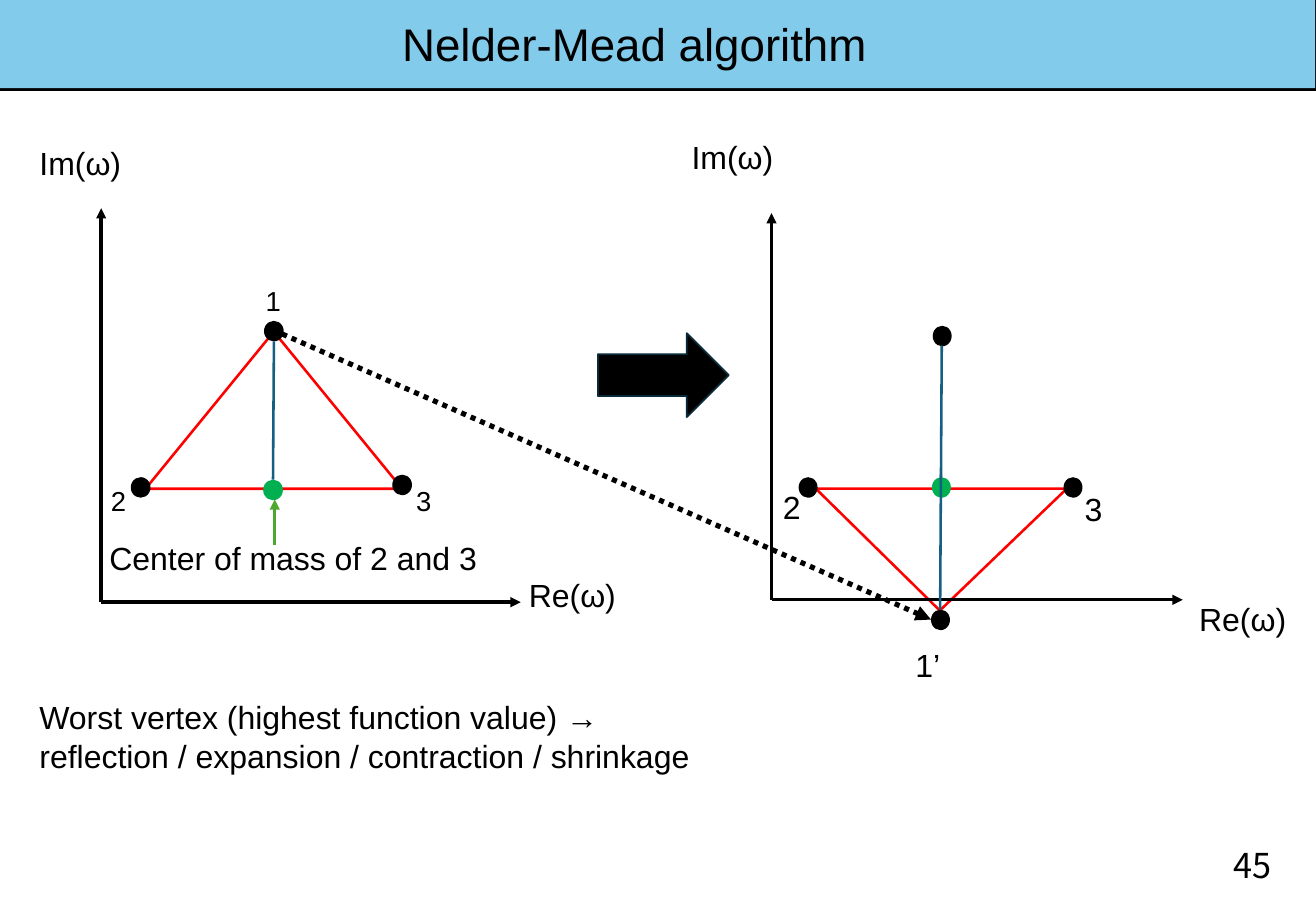
"""Build a slide on the reflection step of the Nelder-Mead algorithm."""
from dataclasses import dataclass

import pptx
import pptx.dml.color
import pptx.enum.shapes
import pptx.enum.text
import pptx.util
from lxml import etree
from pptx.oxml.ns import qn

Pt = pptx.util.Pt
Shape = pptx.enum.shapes.MSO_SHAPE
Point = tuple[float, float]
Box = tuple[float, float, float, float]

BLACK, RED, GREEN, TEAL, LEAF = "000000", "FF0000", "00B050", "156082", "4EA72E"


@dataclass
class Label:
    """A text with its box and size."""
    text: str
    box: Box
    size: float = 28


@dataclass
class Dot:
    """A simplex point given by its top left corner."""
    left: float
    top: float
    color: str = BLACK


@dataclass
class Plane:
    """A complex plane with one simplex."""
    origin: Point
    axis_top: float
    axis_right: float
    triangle: Box
    apex: float
    rotation: float
    dot_width: float
    dots: list[Dot]
    labels: list[Label]
    medians: list[tuple[Point, Point]]


PLANES = [
    Plane(
        origin=(88.6, 527), axis_top=182.2, axis_right=455.8,
        triangle=(127.4, 290.2, 224.6, 137.5), apex=0.5, rotation=0, dot_width=17.3,
        dots=[Dot(231.1, 280.8), Dot(343.4, 415.4), Dot(114.5, 417.6), Dot(230.4, 419.8, GREEN)],
        labels=[
            Label("Im(ω)", (27.4, 122.4, 95, 41)),
            Label("Re(ω)", (455.8, 500.4, 150.5, 62.6)),
            Label("1", (225.4, 244.8, 29.5, 36), 24),
            Label("2", (90, 420.5, 32.4, 36), 24),
            Label("3", (357.1, 420.5, 106.6, 55.4), 24),
        ],
        medians=[((239.8, 298.8), (239, 419.8))],
    ),
    Plane(
        origin=(675.4, 524.9), axis_top=186.5, axis_right=1035.4,
        triangle=(714.2, 427.7, 219.6, 106.6), apex=0.506, rotation=180, dot_width=16.6,
        dots=[Dot(815, 533.5), Dot(931, 417.6), Dot(699.1, 417.6),
              Dot(815.8, 417.6, GREEN), Dot(816.5, 285.1)],
        labels=[
            Label("Im(ω)", (598.3, 116.6, 142.6, 61.9)),
            Label("Re(ω)", (1042.6, 521.3, 98.6, 41)),
            Label("1’", (794.2, 561.6, 65.5, 61.9)),
            Label("2", (678.2, 423.4, 32.4, 41)),
            Label("3", (942.5, 424.8, 33.8, 41)),
        ],
        medians=[((824.4, 302.4), (823.7, 420.5)), ((823.7, 415.4), (823, 533.5))],
    ),
]


def rgb(color: str) -> pptx.dml.color.RGBColor:
    """Turn a hex string into a colour."""
    return pptx.dml.color.RGBColor.from_string(color)


def add_text(slide, text: str, box: Box, *, size: float = 28, font: str = "Arial",
             anchor=pptx.enum.text.MSO_ANCHOR.TOP) -> None:
    """Add a wrapped text box."""
    shape = slide.shapes.add_textbox(*map(Pt, box))
    frame = shape.text_frame
    frame.word_wrap = True
    frame.vertical_anchor = anchor
    paragraph = frame.paragraphs[0]
    run = paragraph.add_run()
    run.text = text
    run.font.size = Pt(size)
    run.font.name = font
    run.font.color.rgb = rgb(BLACK)
    if not font.startswith("Arial"):
        east_asian = etree.SubElement(run.font._element, qn("a:ea"))
        east_asian.set("typeface", font)


def add_shape(slide, kind, box: Box, *, fill: str = "", line: str = "", width: float = 1):
    """Add a preset shape with optional fill and outline."""
    shape = slide.shapes.add_shape(kind, *map(Pt, box))
    shape.shadow.inherit = False
    if fill:
        shape.fill.solid()
        shape.fill.fore_color.rgb = rgb(fill)
    else:
        shape.fill.background()
    if line:
        shape.line.color.rgb = rgb(line)
        shape.line.width = Pt(width)
    else:
        shape.line.fill.background()
    return shape


def add_line(slide, start: Point, end: Point, *, color: str = BLACK, width: float = 3,
             arrow: bool = False, dotted: bool = False) -> None:
    """Add a straight line, optionally dotted or with an arrowhead."""
    connector = slide.shapes.add_connector(
        pptx.enum.shapes.MSO_CONNECTOR.STRAIGHT, *map(Pt, start + end))
    connector.line.color.rgb = rgb(color)
    connector.line.width = Pt(width)
    properties = connector._element.spPr
    outline = properties.find(qn("a:ln"))
    if dotted:
        etree.SubElement(outline, qn("a:prstDash")).set("val", "sysDot")
    if arrow:
        etree.SubElement(outline, qn("a:tailEnd")).set("type", "triangle")
    etree.SubElement(properties, qn("a:effectLst"))


def add_plane(slide, plane: Plane) -> None:
    """Draw the axes, simplex, points and labels of one plane."""
    triangle = add_shape(slide, Shape.ISOSCELES_TRIANGLE, plane.triangle, line=RED, width=2.25)
    triangle.adjustments[0] = plane.apex
    triangle.rotation = plane.rotation
    left, bottom = plane.origin
    for end in ((left, plane.axis_top), (plane.axis_right, bottom)):
        add_line(slide, plane.origin, end, arrow=True)
    for dot in plane.dots:
        add_shape(slide, Shape.OVAL, (dot.left, dot.top, plane.dot_width, 18), fill=dot.color)
    for label in plane.labels:
        add_text(slide, label.text, label.box, size=label.size)
    for start, end in plane.medians:
        add_line(slide, start, end, color=TEAL, width=2.25)


def main() -> None:
    """Build and save the slide."""
    presentation = pptx.Presentation()
    presentation.slide_width = Pt(1152)
    presentation.slide_height = Pt(792)
    slide = presentation.slides.add_slide(presentation.slide_layouts[6])

    add_text(slide, "45", (1072.8, 735.8, 66.2, 42.5), size=30, font="Noto Sans CJK JP",
             anchor=pptx.enum.text.MSO_ANCHOR.MIDDLE)
    add_shape(slide, Shape.RECTANGLE, (0, -1.4, 1152, 78.5), line=BLACK, width=2.25)
    add_shape(slide, Shape.RECTANGLE, (-0.7, -1.4, 1152, 78.5), fill="83CBEB")
    add_line(slide, (0, 78.5), (1152, 78.5), width=1.5)
    add_text(slide, "Nelder-Mead algorithm", (344.9, 10.1, 423.4, 55.4), size=40)

    add_shape(slide, Shape.RIGHT_ARROW, (523.4, 291.6, 114.5, 73.4),
              fill=BLACK, line="092A39", width=1.5)
    add_text(slide, "Worst vertex (highest function value) → "
             "reflection / expansion / contraction / shrinkage", (27.4, 607, 599, 74.9))
    add_line(slide, (247, 292.3), (815, 542.2), width=4.5, arrow=True, dotted=True)
    add_text(slide, "Center of mass of 2 and 3", (88.6, 468, 347.8, 41))
    for plane in PLANES:
        add_plane(slide, plane)
    add_line(slide, (240.5, 476.6), (240.5, 437), color=LEAF, arrow=True)

    presentation.save("out.pptx")


if __name__ == "__main__":
    main()
